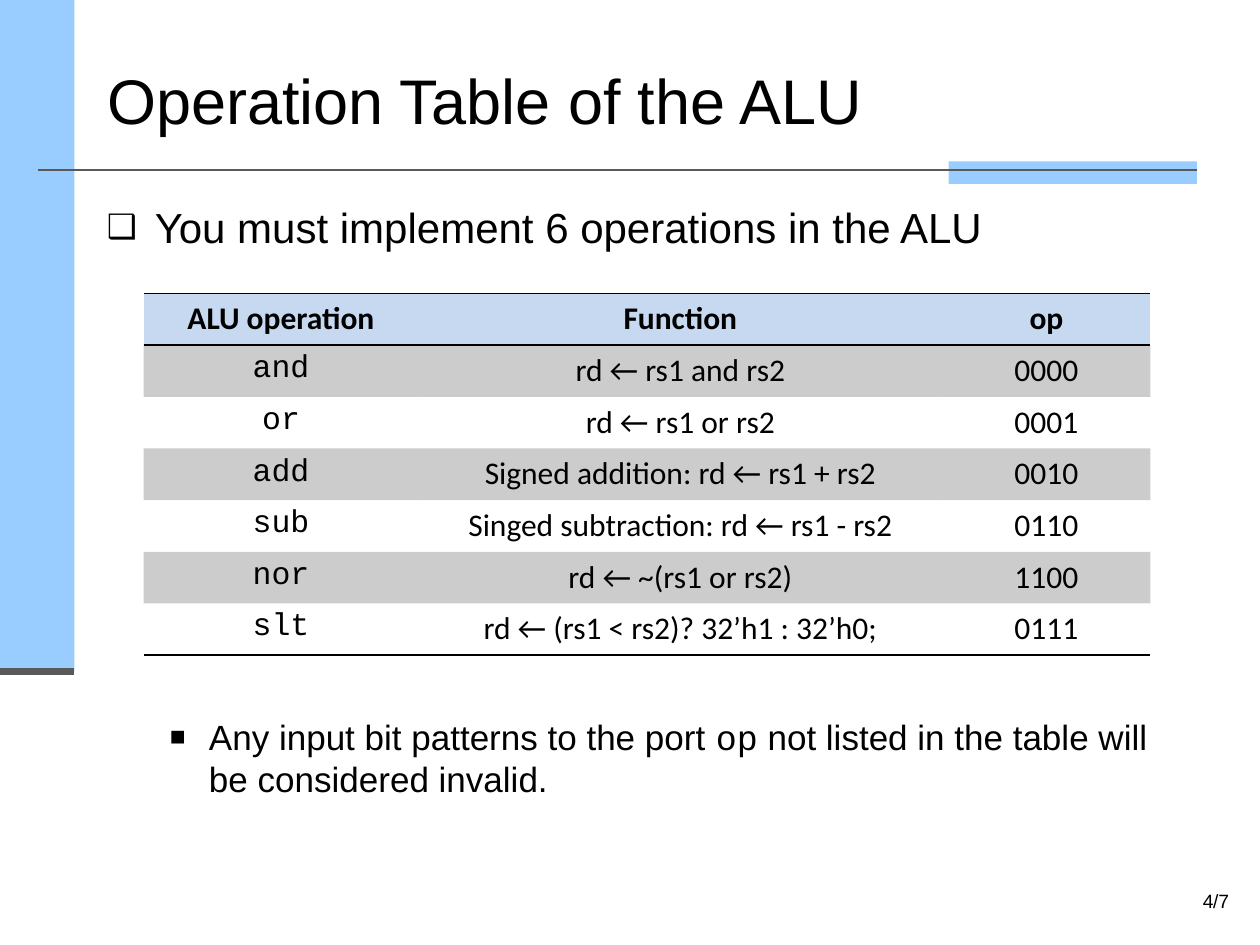
from lxml import etree
from pptx import Presentation
from pptx import util as u
from pptx.dml.color import RGBColor
from pptx.enum import shapes, text
from pptx.oxml.ns import qn

SKY = RGBColor(0x99, 0xCC, 0xFF)
GRAY = RGBColor(0x59, 0x59, 0x59)
BLACK = RGBColor(0, 0, 0)
HEADER_BLUE = RGBColor(0xC6, 0xD9, 0xF1)

SANS, TABLE_FONT, CODE = "Arial", "Calibri", "Courier New"
NO_STYLE = "{2D5ABB26-0587-4C30-8999-92F81FD0307C}"

COLUMN_WIDTHS = [2.18, 4.16, 1.65]
ROW_HEIGHT = 0.41
OPERATIONS = [
    ("ALU operation", "Function", "op"),
    ("and", "rd ← rs1 and rs2", "0000"),
    ("or", "rd ← rs1 or rs2", "0001"),
    ("add", "Signed addition: rd ← rs1 + rs2", "0010"),
    ("sub", "Singed subtraction: rd ← rs1 - rs2", "0110"),
    ("nor", "rd ← ~(rs1 or rs2)", "1100"),
    ("slt", "rd ← (rs1 < rs2)? 32’h1 : 32’h0;", "0111"),
]


def inches(*lengths):
    return [u.Inches(length) for length in lengths]


def add_run(paragraph, words, size=18, font=SANS, bold=False, align=None):
    if align is not None:
        paragraph.alignment = align
    run = paragraph.add_run()
    run.text = words
    run.font.size = u.Pt(size)
    run.font.name = font
    run.font.bold = bold
    run.font.color.rgb = BLACK


def add_text_box(slide, box, wrap=True, anchor=text.MSO_ANCHOR.TOP):
    frame = slide.shapes.add_textbox(*inches(*box)).text_frame
    frame.word_wrap = wrap
    frame.vertical_anchor = anchor
    return frame


def add_block(slide, box):
    shape = slide.shapes.add_shape(shapes.MSO_SHAPE.RECTANGLE, *inches(*box))
    shape.shadow.inherit = False
    shape.fill.solid()
    shape.fill.fore_color.rgb = SKY
    shape.line.fill.background()


def add_rule(slide, left, right, y, width):
    connector = slide.shapes.add_connector(
        shapes.MSO_CONNECTOR.STRAIGHT, *inches(left, y, right, y))
    connector.line.color.rgb = GRAY
    connector.line.width = u.Pt(width)
    etree.SubElement(connector._element.spPr, qn("a:effectLst"))


def set_bullet(paragraph, character, percent, margin, indent):
    properties = paragraph._p.get_or_add_pPr()
    properties.set("marL", str(u.Inches(margin)))
    properties.set("indent", str(u.Inches(indent)))
    etree.SubElement(properties, qn("a:buSzPct"), val=str(percent * 1000))
    etree.SubElement(properties, qn("a:buFont"), typeface=SANS)
    etree.SubElement(properties, qn("a:buChar"), char=character)


def set_border(cell, side):
    line = etree.SubElement(cell._tc.get_or_add_tcPr(), qn(f"a:ln{side}"),
                            w=str(u.Pt(1)))
    fill = etree.SubElement(line, qn("a:solidFill"))
    etree.SubElement(fill, qn("a:srgbClr"), val=str(BLACK))


def fill_cell(cell, color, opacity=100):
    cell.fill.solid()
    cell.fill.fore_color.rgb = color
    if opacity < 100:
        swatch = cell._tc.tcPr.find(f"{qn('a:solidFill')}/{qn('a:srgbClr')}")
        etree.SubElement(swatch, qn("a:alpha"), val=str(opacity * 1000))


def add_operation_table(slide, left, top):
    last = len(OPERATIONS) - 1
    table = slide.shapes.add_table(
        len(OPERATIONS), len(COLUMN_WIDTHS),
        *inches(left, top, sum(COLUMN_WIDTHS), ROW_HEIGHT * len(OPERATIONS))).table
    table._tbl.tblPr.find(qn("a:tableStyleId")).text = NO_STYLE
    for column, width in zip(table.columns, COLUMN_WIDTHS):
        column.width = u.Inches(width)
    for i, values in enumerate(OPERATIONS):
        table.rows[i].height = u.Inches(ROW_HEIGHT)
        for j, value in enumerate(values):
            cell = table.cell(i, j)
            font = CODE if i > 0 and j == 0 else TABLE_FONT
            add_run(cell.text_frame.paragraphs[0], value, font=font,
                    bold=i == 0, align=text.PP_ALIGN.CENTER)
            # Borders come before the fill in the cell properties
            if i == 0:
                set_border(cell, "T")
            if i in (0, last):
                set_border(cell, "B")
            if i == 0:
                fill_cell(cell, HEADER_BLUE)
            elif i % 2:
                fill_cell(cell, BLACK, opacity=20)
            else:
                cell.fill.background()


def add_title(slide, words):
    title = slide.shapes.title
    title.left, title.top, title.width, title.height = inches(0.75, 0.3, 8.75, 0.98)
    title.text_frame.vertical_anchor = text.MSO_ANCHOR.MIDDLE
    add_run(title.text_frame.paragraphs[0], words, size=36,
            align=text.PP_ALIGN.LEFT)


def add_body(slide):
    frame = add_text_box(slide, (0.75, 1.55, 8.75, 5.15))
    heading = frame.paragraphs[0]
    set_bullet(heading, "❑", 80, 0.38, -0.38)
    add_run(heading, "You must implement 6 operations in the ALU", size=24)

    # The note sits below the table
    note = frame.add_paragraph()
    note.level = 1
    note.space_before = u.Pt(265)
    set_bullet(note, "■", 75, 0.81, -0.31)
    add_run(note, "Any input bit patterns to the port ", size=20)
    add_run(note, "op", size=20, font=CODE)
    add_run(note, " not listed in the table will be considered invalid.", size=20)


def add_page_number(slide):
    total = add_text_box(slide, (9.53, 7.01, 0.33, 0.29), wrap=False)
    add_run(total.paragraphs[0], "/7", size=11)
    current = add_text_box(slide, (7.17, 6.95, 2.56, 0.4),
                           anchor=text.MSO_ANCHOR.MIDDLE)
    add_run(current.paragraphs[0], "4", size=11, align=text.PP_ALIGN.RIGHT)


def main():
    presentation = Presentation()
    presentation.slide_width, presentation.slide_height = inches(10, 7.5)
    slide = presentation.slides.add_slide(presentation.slide_layouts[5])

    # Side band, accent block and rules
    add_block(slide, (7.53, 1.28, 1.97, 0.18))
    add_block(slide, (0, 0, 0.59, 5.33))
    add_rule(slide, 0, 0.59, 5.33, 4)
    add_rule(slide, 0.3, 9.5, 1.35, 1.5)

    # Content
    add_title(slide, "Operation Table of the ALU")
    add_body(slide)
    add_operation_table(slide, 1.14, 2.33)
    add_page_number(slide)
    presentation.save("out.pptx")


if __name__ == "__main__":
    main()
